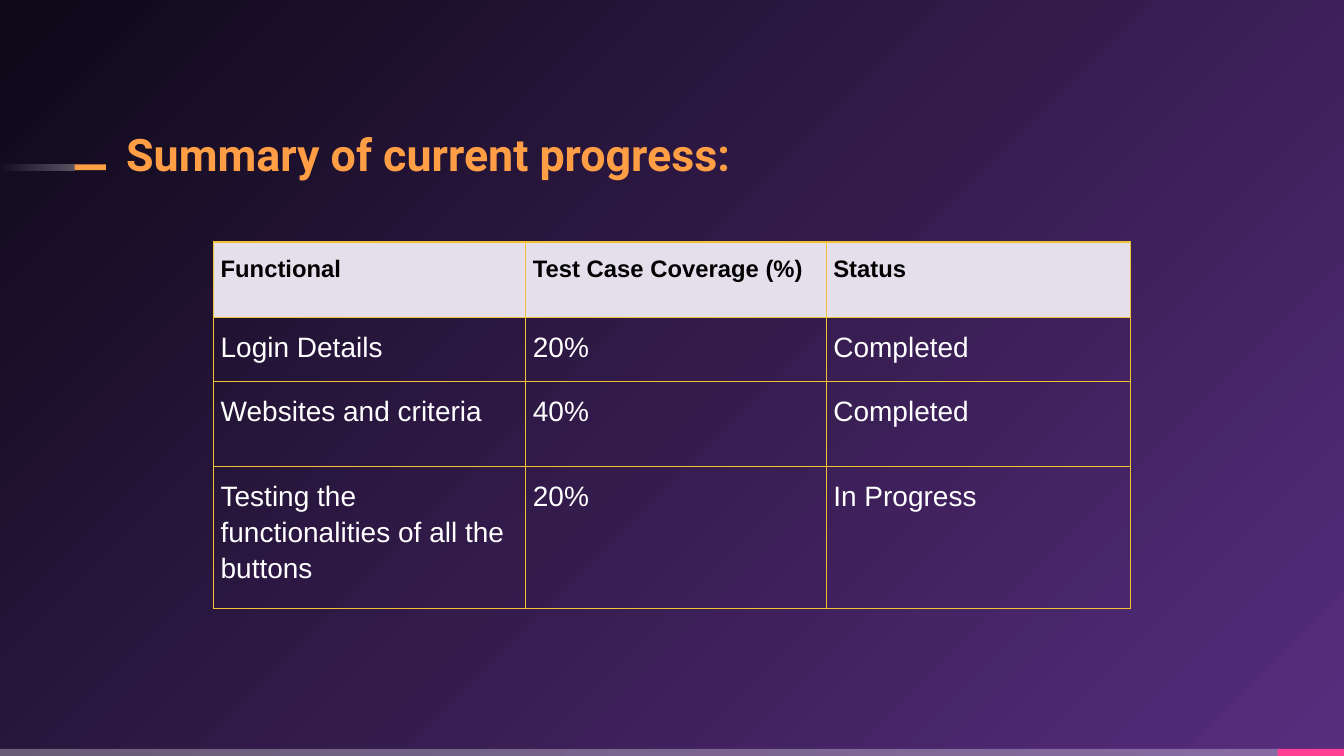
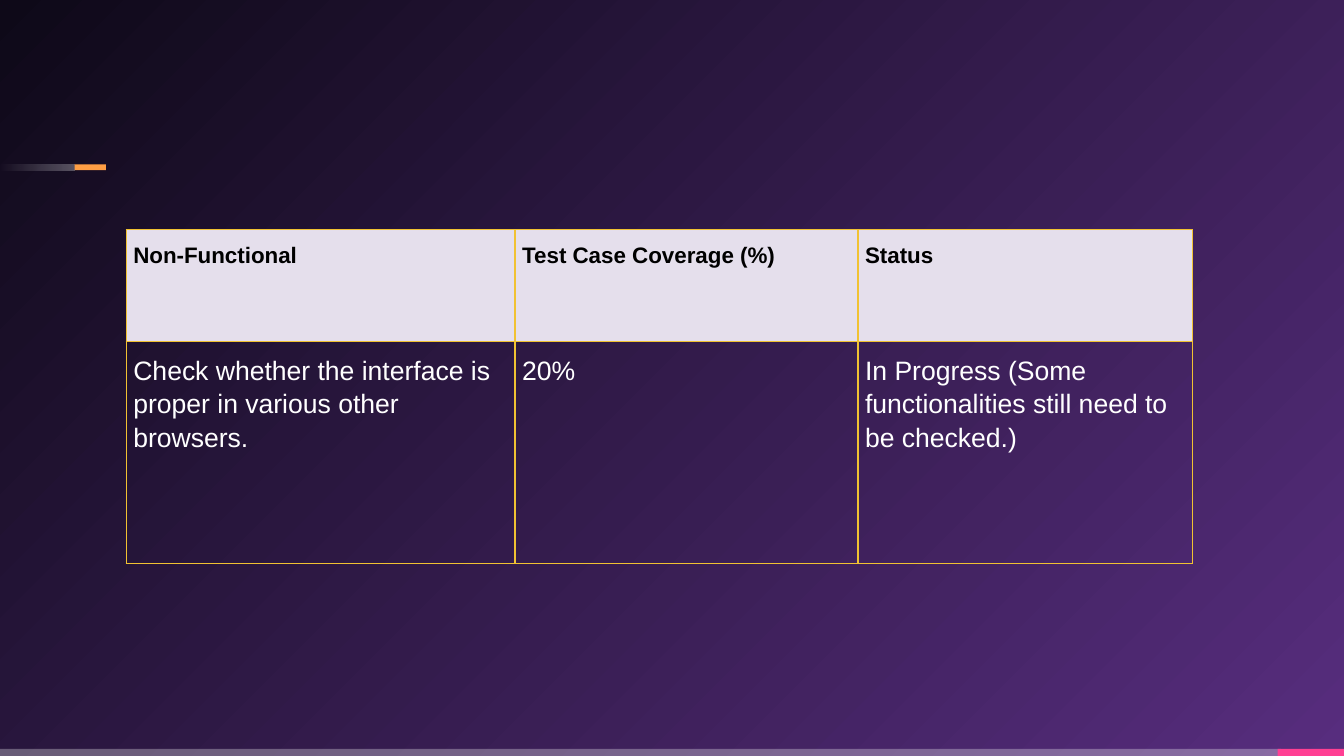
from dataclasses import dataclass

from lxml import etree
from pptx import Presentation
from pptx.dml.color import RGBColor
from pptx.enum.shapes import MSO_SHAPE
from pptx.enum.text import MSO_ANCHOR, MSO_AUTO_SIZE
from pptx.oxml.ns import qn
from pptx.util import Cm, Pt

RECTANGLE = MSO_SHAPE.RECTANGLE
BOTTOM = MSO_ANCHOR.BOTTOM
NO_AUTOFIT = MSO_AUTO_SIZE.NONE
TITLE_ONLY, BLANK = 5, 6
SLIDE_WIDTH, SLIDE_HEIGHT = 33.87, 19.05


@dataclass(frozen=True)
class Theme:
    violet: str = "572D7E"
    night: str = "0E0918"
    orange: str = "FF9E44"
    pink: str = "FF4093"
    white: str = "FFFFFF"
    black: str = "000000"
    header_fill: str = "E5DFEC"
    border: str = "F1C232"
    border_width: float = 1
    title_font: str = "Roboto"
    table_font: str = "Arial"
    title_size: int = 32


THEME = Theme()

SLIDES = [
    {
        "title": "Summary of current progress:",
        "rows": [
            ("Functional", "Test Case Coverage (%)", "Status"),
            ("Login Details", "20%", "Completed"),
            ("Websites and criteria", "40%", "Completed"),
            ("Testing the functionalities of all the buttons", "20%", "In Progress"),
        ],
        "corner": (5.38, 6.1),
        "widths": (7.87, 7.57, 7.67),
        "heights": (1.91, 1.6, 2.14, 3.58),
        "sizes": (17, 20),
    },
    {
        "title": None,
        "rows": [
            ("Non-Functional", "Test Case Coverage (%)", "Status"),
            (
                "Check whether the interface is proper in various other browsers.",
                "20%",
                "In Progress (Some functionalities still need to be checked.)",
            ),
        ],
        "corner": (3.18, 5.79),
        "widths": (9.8, 8.64, 8.43),
        "heights": (2.82, 5.59),
        "sizes": (16, 19),
    },
]

FOOTER_HEIGHT, PINK_WIDTH = 0.18, 1.67
FOOTER_TOP = SLIDE_HEIGHT - FOOTER_HEIGHT
DASH_TOP, DASH_HEIGHT, FADE_WIDTH, DASH_WIDTH = 4.14, 0.15, 1.88, 0.79

BANDS = [
    ((0, FOOTER_TOP, 32.28, FOOTER_HEIGHT), THEME.white, (30,)),
    ((SLIDE_WIDTH - PINK_WIDTH, FOOTER_TOP, PINK_WIDTH, FOOTER_HEIGHT), THEME.pink, ()),
    ((0, DASH_TOP, FADE_WIDTH, DASH_HEIGHT), THEME.white, (30, 0)),
    ((FADE_WIDTH, DASH_TOP, DASH_WIDTH, DASH_HEIGHT), THEME.orange, ()),
]


def rgb(value):
    return RGBColor.from_string(value)


def style_font(paragraph, face, size, color, bold):
    for run in paragraph.runs:
        run.font.name = face
        run.font.size = Pt(size)
        run.font.bold = bold
        run.font.color.rgb = rgb(color)


def set_gradient(fill, colors):
    fill.gradient()
    for stop, color in zip(fill.gradient_stops, colors):
        stop.color.rgb = rgb(color)


def paint_background(master):
    set_gradient(master.background.fill, (THEME.violet, THEME.night))
    gradient = master.element.find(".//" + qn("p:bg")).find(".//" + qn("a:gradFill"))
    gradient.remove(gradient.find(qn("a:lin")))
    circle = etree.SubElement(gradient, qn("a:path"), path="circle")
    etree.SubElement(circle, qn("a:fillToRect"), l="100000", t="100000")


def add_bands(master, slide):
    for box, color, alphas in BANDS:
        band = slide.shapes.add_shape(RECTANGLE, *map(Cm, box))
        band.shadow.inherit = False
        band.line.fill.background()
        if len(alphas) == 2:
            set_gradient(band.fill, (color, color))
            band.fill.gradient_angle = 180
        else:
            band.fill.solid()
            band.fill.fore_color.rgb = rgb(color)
        properties = band.element.spPr
        for tint, alpha in zip(properties.iter(qn("a:srgbClr")), alphas):
            etree.SubElement(tint, qn("a:alpha"), val=str(alpha * 1000))
        master.shapes.element.append(band.element)


def add_title(slide, words):
    title = slide.shapes.title
    title.left, title.top, title.width, title.height = map(Cm, (3.18, 3.1, 19.66, 1.47))
    frame = title.text_frame
    frame.text = words
    frame.word_wrap = True
    frame.auto_size = NO_AUTOFIT
    frame.vertical_anchor = BOTTOM
    frame.margin_left = frame.margin_top = frame.margin_right = frame.margin_bottom = 0
    heading = frame.paragraphs[0]
    heading.line_spacing = 0.9
    heading.alignment = 1
    style_font(heading, THEME.title_font, THEME.title_size, THEME.orange, True)


def add_borders(cell):
    properties = cell._tc.get_or_add_tcPr()
    for index, side in enumerate(("a:lnL", "a:lnR", "a:lnT", "a:lnB")):
        line = etree.Element(qn(side), w=str(Pt(THEME.border_width)))
        solid = etree.SubElement(line, qn("a:solidFill"))
        etree.SubElement(solid, qn("a:srgbClr"), val=THEME.border)
        properties.insert(index, line)


def format_cell(cell, words, size, is_header):
    cell.text = words
    cell.margin_left = cell.margin_right = Cm(0.18)
    cell.margin_top = cell.margin_bottom = Cm(0.25)
    if is_header:
        cell.fill.solid()
        cell.fill.fore_color.rgb = rgb(THEME.header_fill)
    else:
        cell.fill.background()
    entry = cell.text_frame.paragraphs[0]
    entry.line_spacing = 1.15
    color = THEME.black if is_header else THEME.white
    style_font(entry, THEME.table_font, size, color, is_header)
    add_borders(cell)


def add_progress_table(slide, content):
    rows, widths, heights = content["rows"], content["widths"], content["heights"]
    box = (*content["corner"], sum(widths), sum(heights))
    progress = slide.shapes.add_table(len(rows), len(widths), *map(Cm, box)).table
    progress.horz_banding = False
    for column, width in zip(progress.columns, widths):
        column.width = Cm(width)
    header_size, body_size = content["sizes"]
    for r, (entries, height) in enumerate(zip(rows, heights)):
        progress.rows[r].height = Cm(height)
        for c, words in enumerate(entries):
            size = body_size if r else header_size
            format_cell(progress.cell(r, c), words, size, r == 0)


def main():
    deck = Presentation()
    deck.slide_width, deck.slide_height = Cm(SLIDE_WIDTH), Cm(SLIDE_HEIGHT)
    paint_background(deck.slide_master)
    for content in SLIDES:
        layout = TITLE_ONLY if content["title"] else BLANK
        slide = deck.slides.add_slide(deck.slide_layouts[layout])
        if content["title"]:
            add_title(slide, content["title"])
        add_progress_table(slide, content)
    add_bands(deck.slide_master, deck.slides[0])
    deck.save("out.pptx")


if __name__ == "__main__":
    main()
